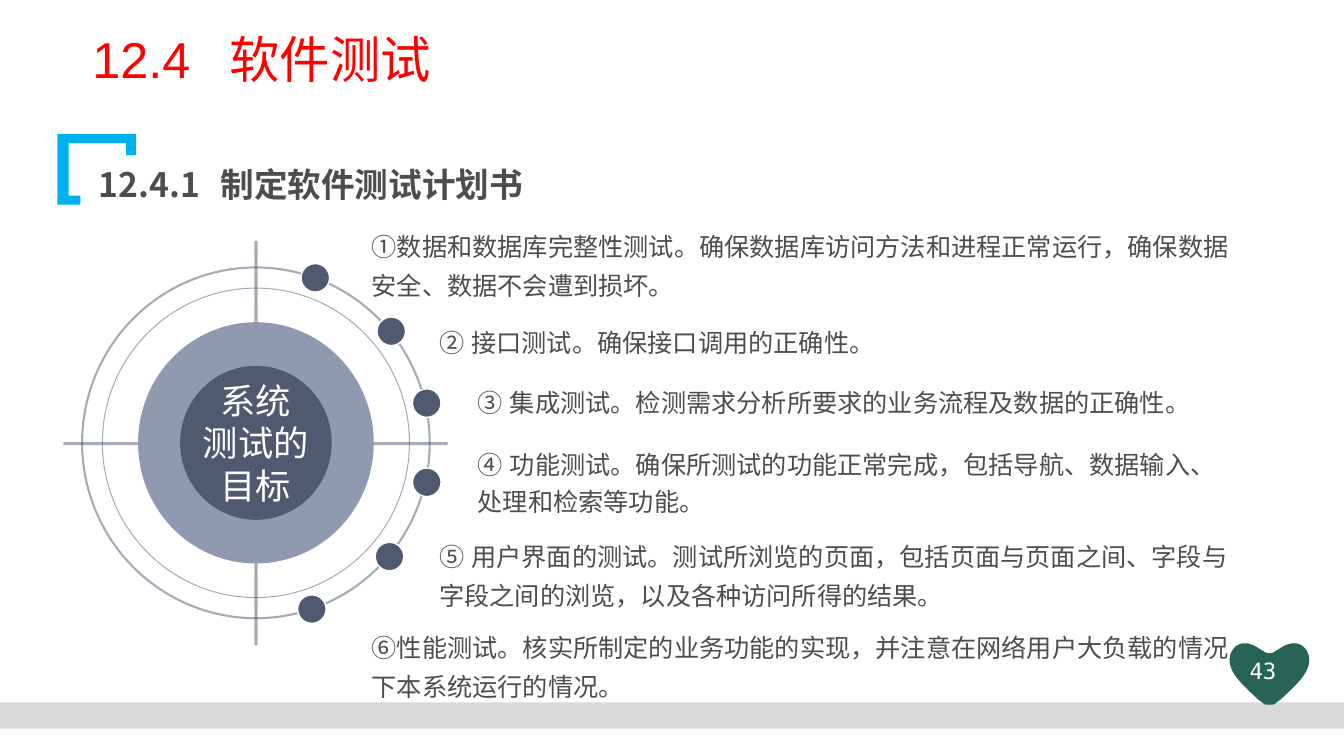
"""Build the software testing slide with a target diagram and six test goals."""
from dataclasses import dataclass
from math import cos, radians, sin

from lxml.etree import SubElement
from pptx import Presentation
from pptx.dml.color import RGBColor
from pptx.enum.shapes import MSO_CONNECTOR, MSO_SHAPE
from pptx.enum.text import MSO_ANCHOR, PP_ALIGN
from pptx.oxml.ns import qn
from pptx.util import Cm, Pt


@dataclass(frozen=True)
class Theme:
    red: RGBColor = RGBColor(0xFF, 0x00, 0x00)
    sky: RGBColor = RGBColor(0x00, 0xB0, 0xF0)
    ink: RGBColor = RGBColor(0x4D, 0x4D, 0x4D)
    slate: RGBColor = RGBColor(0x4F, 0x5A, 0x71)
    mist: RGBColor = RGBColor(0x8F, 0x9A, 0xB0)
    grey: RGBColor = RGBColor(0xD9, 0xD9, 0xD9)
    green: RGBColor = RGBColor(0x27, 0x63, 0x57)
    white: RGBColor = RGBColor(0xFF, 0xFF, 0xFF)
    font: str = "Arial"
    heading_font: str = "Noto Sans CJK SC"
    number_font: str = "DejaVu Sans Mono"
    title_size: float = 36
    heading_size: float = 24
    centre_size: float = 25.2
    body_size: float = 18
    number_size: float = 16


theme = Theme()
deck = Presentation()
deck.slide_width, deck.slide_height = Cm(33.87), Cm(19.05)
page = deck.slides.add_slide(deck.slide_layouts[6])


def write_text(box, text, size=theme.body_size, color=theme.ink, font=theme.font, bold=False,
               align=PP_ALIGN.LEFT, spacing=1.0, side_inset=0.25, inset=0.13, tab=None,
               anchor=MSO_ANCHOR.TOP, wrap=True):
    frame = box.text_frame
    frame.word_wrap, frame.vertical_anchor = wrap, anchor
    frame.margin_left = frame.margin_right = Cm(side_inset)
    frame.margin_top = frame.margin_bottom = Cm(inset)
    for index, line in enumerate(text.split("\n")):
        para = frame.add_paragraph() if index else frame.paragraphs[0]
        para.alignment, para.line_spacing = align, spacing
        if tab:
            tabs = SubElement(para._p.get_or_add_pPr(), qn("a:tabLst"))
            SubElement(tabs, qn("a:tab"), pos=str(Cm(tab)), algn="l")
        span = para.add_run()
        span.text = line
        span.font.size, span.font.bold, span.font.name = Pt(size), bold, font
        span.font.color.rgb = color
        SubElement(span._r.get_or_add_rPr(), qn("a:ea"), typeface=font)


def add_oval(center_x, center_y, radius_x, radius_y, fill=None, line=None, width=1):
    oval = page.shapes.add_shape(MSO_SHAPE.OVAL, Cm(center_x - radius_x), Cm(center_y - radius_y),
                                 Cm(2 * radius_x), Cm(2 * radius_y))
    oval.shadow.inherit = False
    if fill is None:
        oval.fill.background()
    else:
        oval.fill.solid()
        oval.fill.fore_color.rgb = fill
    if line is None:
        oval.line.fill.background()
    else:
        oval.line.color.rgb, oval.line.width = line, Pt(width)
    return oval


footer = page.shapes.add_shape(MSO_SHAPE.RECTANGLE, 0, Cm(17.7), deck.slide_width, Cm(0.66))
footer.shadow.inherit = False
footer.fill.solid()
footer.fill.fore_color.rgb = theme.grey
footer.line.fill.background()

bracket = [(1.45, 3.38), (3.43, 3.38), (3.43, 3.91), (3.18, 3.91), (3.18, 3.61),
           (1.73, 3.61), (1.73, 4.93), (2.03, 4.93), (2.03, 5.16), (1.45, 5.16)]

notch_x, notch_y = 31.99, 16.46
heart_curves = [
    [(0, 0), (0.08, 0), (0.13, -0.03), (0.15, -0.05)],
    [(0.28, -0.13), (0.53, -0.3), (0.86, -0.33), (0.99, 0.05)],
    [(0.99, 0.05), (1.09, 0.46), (0.66, 0.81), (0.28, 1.17)],
    [(0.18, 1.24), (0.13, 1.3), (0.08, 1.3), (0, 1.3)],
]
heart_half = []
for curve in heart_curves:
    for step in range(13):
        t = step / 12
        weights = ((1 - t) ** 3, 3 * t * (1 - t) ** 2, 3 * t ** 2 * (1 - t), t ** 3)
        heart_half.append([sum(w * point[axis] for w, point in zip(weights, curve))
                           for axis in (0, 1)])
heart = [(notch_x + x, notch_y + y) for x, y in heart_half]
heart += [(notch_x - x, notch_y + y) for x, y in reversed(heart_half)]

for outline, color in ((bracket, theme.sky), (heart, theme.green)):
    points = [(Cm(x), Cm(y)) for x, y in outline]
    builder = page.shapes.build_freeform(*points[0])
    builder.add_line_segments(points[1:], close=True)
    figure = builder.convert_to_shape()
    figure.shadow.inherit = False
    figure.fill.solid()
    figure.fill.fore_color.rgb = color
    figure.line.fill.background()

number = page.shapes.add_textbox(Cm(30.94), Cm(16.43), Cm(1.78), Cm(0.99))
write_text(number, "43", size=theme.number_size, color=theme.white, font=theme.number_font,
           align=PP_ALIGN.CENTER)

title = page.shapes.add_textbox(Cm(2.08), Cm(0.74), Cm(23.37), Cm(2.39))
write_text(title, "12.4\t软件测试", size=theme.title_size, color=theme.red, spacing=0.9, tab=3.45)

heading = page.shapes.add_textbox(Cm(2.24), Cm(3.89), Cm(16.05), Cm(1.6))
write_text(heading, "12.4.1\t制定软件测试计划书", size=theme.heading_size,
           font=theme.heading_font, bold=True, spacing=1.1, tab=3.07)

center_x, center_y = 6.45, 11.16
faded = [add_oval(center_x, center_y, 4.38, 4.42, line=theme.slate, width=1.5)]
for ends in ((1.6, 11.18, 11.28, 11.18), (6.45, 6.07, 6.45, 16.26)):
    crosshair = page.shapes.add_connector(MSO_CONNECTOR.STRAIGHT, *map(Cm, ends))
    crosshair.line.color.rgb, crosshair.line.width = theme.slate, Pt(2.25)
    SubElement(crosshair._element.spPr, qn("a:effectLst"))
    faded.append(crosshair)
faded.append(add_oval(center_x, center_y, 3.87, 3.9, line=theme.slate, width=0.75))
for stroke in faded:
    color_node = stroke._element.spPr.find(".//" + qn("a:ln")).find(".//" + qn("a:srgbClr"))
    SubElement(color_node, qn("a:alpha"), val="50000")

add_oval(center_x, center_y, 2.97, 3.04, fill=theme.mist)
core = add_oval(center_x, center_y, 1.91, 1.94, fill=theme.slate)
write_text(core, "系统\n测试的\n目标", size=theme.centre_size, color=theme.white,
           align=PP_ALIGN.CENTER, anchor=MSO_ANCHOR.MIDDLE, side_inset=0, inset=0, wrap=False)

goals = [
    (70.2, 9.37, 5.46, 21.69, 2.41, 1.3,
     "①数据和数据库完整性测试。确保数据库访问方法和进程正常运行，确保数据安全、数据不会遭到损坏。"),
    (39.5, 11.07, 7.9, 14.96, 1.35, 1.3, "② 接口测试。确保接口调用的正确性。"),
    (13.1, 12.04, 9.4, 19.81, 1.5, 1.3,
     "③ 集成测试。检测需求分析所要求的业务流程及数据的正确性。"),
    (-13, 12.04, 11.05, 19.02, 2.13, 1.2,
     "④ 功能测试。确保所测试的功能正常完成，包括导航、数据输入、处理和检索等功能。"),
    (-40.4, 11.07, 13.28, 19.99, 2.26, 1.3,
     "⑤ 用户界面的测试。测试所浏览的页面，包括页面与页面之间、字段与字段之间的浏览，以及各种访问所得的结果。"),
    (-71.4, 9.37, 15.57, 21.69, 2.49, 1.3,
     "⑥性能测试。核实所制定的业务功能的实现，并注意在网络用户大负载的情况下本系统运行的情况。"),
]
orbit = 4.42
for angle, left, top, width, height, spacing, text in goals:
    add_oval(center_x + orbit * cos(radians(angle)), center_y - orbit * sin(radians(angle)),
             0.36, 0.36, fill=theme.slate, line=theme.white)
    goal = page.shapes.add_textbox(Cm(left), Cm(top), Cm(width), Cm(height))
    write_text(goal, text, spacing=spacing, side_inset=0)

deck.save("out.pptx")
